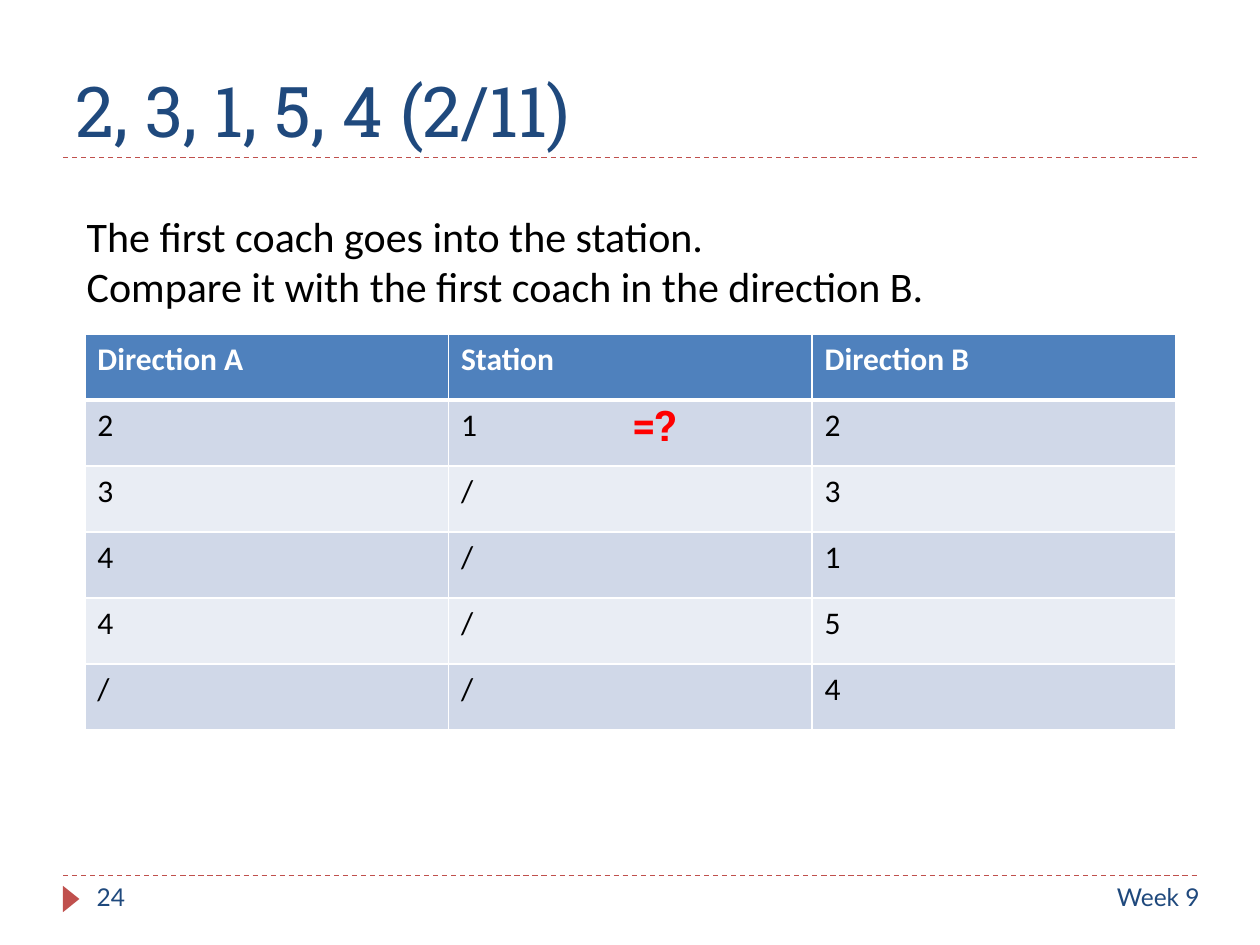
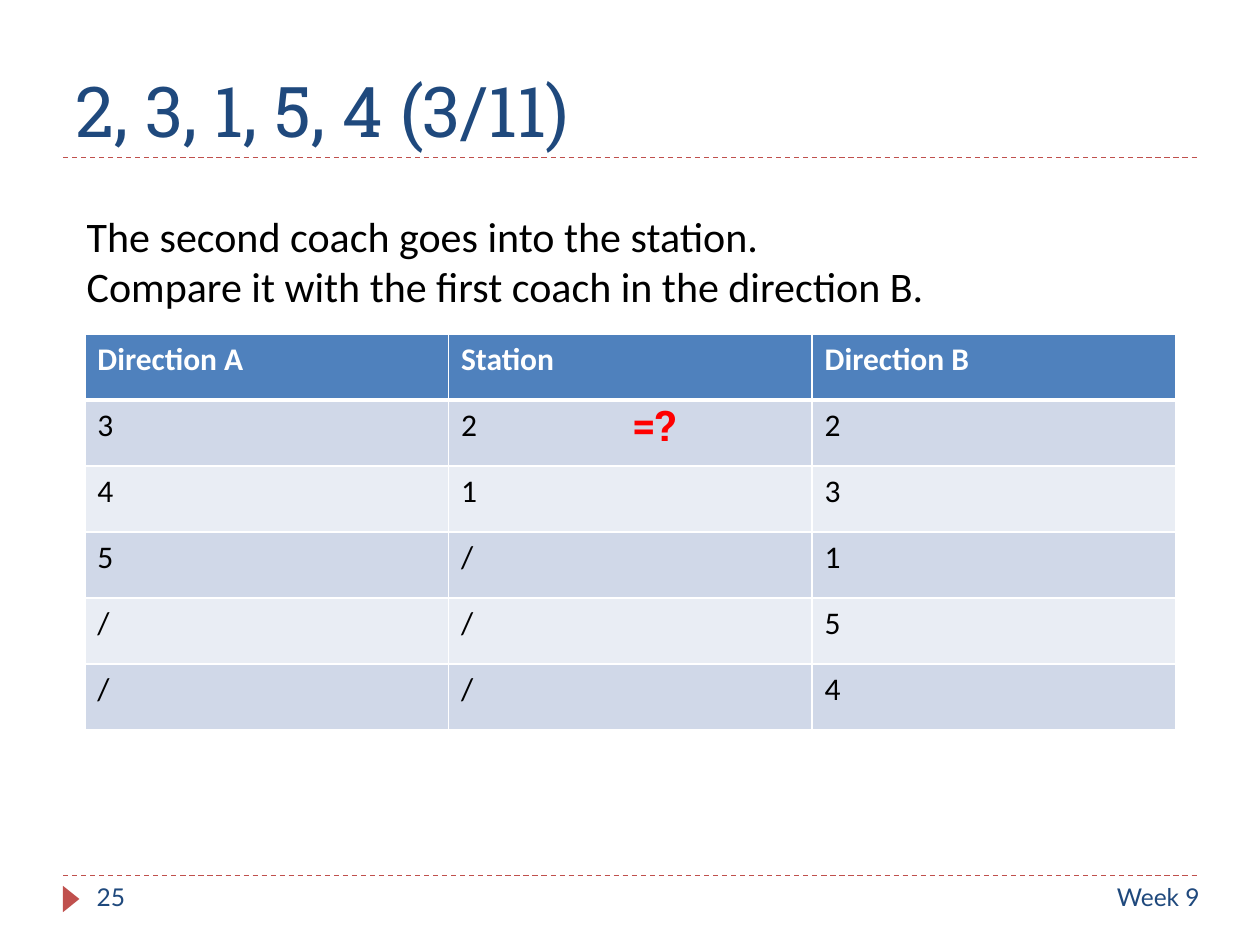
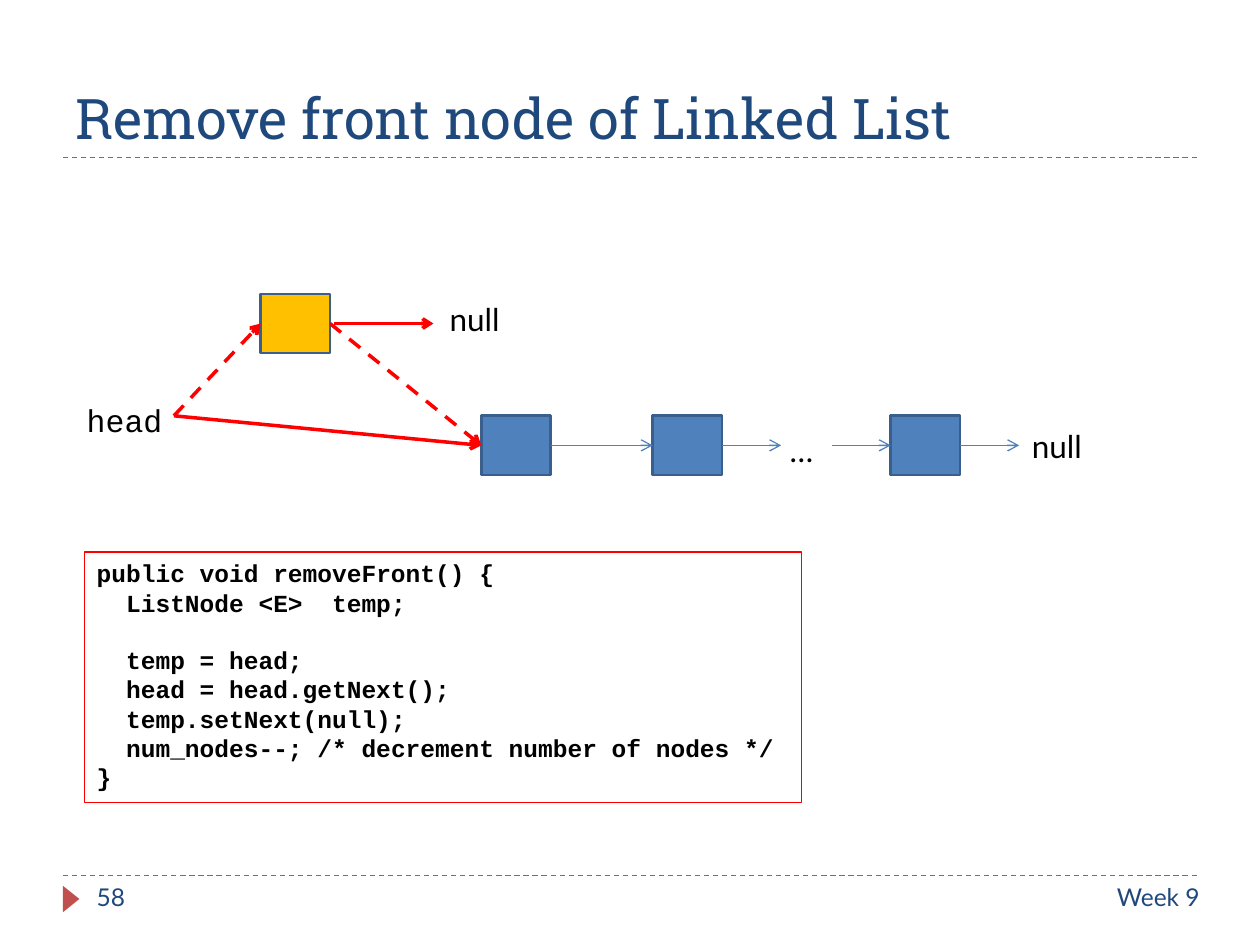
import pptx
import pptx.dml.color
import pptx.enum.dml
import pptx.enum.shapes
import pptx.enum.text
import pptx.oxml
import pptx.oxml.ns
import pptx.util

Pt = pptx.util.Pt
ALIGN = pptx.enum.text.PP_ALIGN
SHAPE = pptx.enum.shapes.MSO_SHAPE
DASH = pptx.enum.dml.MSO_LINE.DASH

NAVY, BLUE, EDGE = "1F497D", "4F81BD", "3A5F8C"
BRICK, RED, AMBER = "C0504D", "FF0000", "FFC000"
BLACK, WHITE = "000000", "FFFFFF"
BANDS = ("D0D8E8", "E9EDF4")
HEADING, BODY, LABEL, CODE = "Roboto Slab", "Calibri", "Lato", "Courier New"

LEFT, RIGHT = 36, 684
TITLE_RULE, FOOTER_RULE = 90, 500.4
NODE_WIDTH, NODE_HEIGHT = 39.6, 33.8
CODE_INDENT, CODE_LINE = 16.8, 15.86

HEADERS = ("Direction A", "Station", "Direction B")
CODE_LINES = (
    (0, "public void removeFront() {"),
    (1, "ListNode <E>  temp;"),
    (1, "temp = head;"),
    (1, "head = head.getNext();"),
    (1, "temp.setNext(null);"),
    (1, "num_nodes--; /* decrement number of nodes */"),
    (0, "}"),
)


def rgb(value):
    """Return a colour from its hex string."""
    return pptx.dml.color.RGBColor.from_string(value)


def set_font(paragraph, name, size, color, bold=False):
    """Format a whole paragraph."""
    font = paragraph.font
    font.name, font.size, font.bold = name, Pt(size), bold
    font.color.rgb = rgb(color)


def add_text(slide, box, lines, name, size, color=BLACK, bold=False,
             align=ALIGN.LEFT, wrap=True):
    """Add a text box with one paragraph per line."""
    shape = slide.shapes.add_textbox(*map(Pt, box))
    frame = shape.text_frame
    frame.word_wrap = wrap
    frame.text = "\n".join(lines)
    for paragraph in frame.paragraphs:
        paragraph.alignment = align
        set_font(paragraph, name, size, color, bold)
    return shape


def add_filled(slide, kind, box, fill, line=None):
    """Add a preset shape with a plain fill and an optional outline."""
    shape = slide.shapes.add_shape(kind, *map(Pt, box))
    shape.shadow.inherit = False
    shape.fill.solid()
    shape.fill.fore_color.rgb = rgb(fill)
    if line:
        shape.line.color.rgb = rgb(line)
        shape.line.width = Pt(1.5)
    else:
        shape.line.fill.background()
    return shape


def add_line(slide, start, end, color, width=0.75, dashed=False, arrow=False):
    """Add a straight line, with an arrowhead at its end if asked."""
    connector = slide.shapes.add_connector(
        pptx.enum.shapes.MSO_CONNECTOR.STRAIGHT, *map(Pt, start + end))
    connector.line.color.rgb = rgb(color)
    connector.line.width = Pt(width)
    if dashed:
        connector.line.dash_style = DASH
    if arrow:
        head = pptx.oxml.parse_xml(
            f'<a:tailEnd {pptx.oxml.ns.nsdecls("a")} type="arrow"/>')
        connector.line._get_or_add_ln().append(head)
    connector._element.spPr.append(pptx.oxml.parse_xml(
        f'<a:effectLst {pptx.oxml.ns.nsdecls("a")}/>'))


def add_base_slide(presentation, title, number, title_size=40):
    """Add a slide with the shared title, rules and footer."""
    slide = presentation.slides.add_slide(presentation.slide_layouts[5])
    for y in (FOOTER_RULE, TITLE_RULE):
        add_line(slide, (LEFT, y), (RIGHT, y), BRICK, dashed=True)
    marker = add_filled(slide, SHAPE.ISOSCELES_TRIANGLE,
                        (33.1, 509, 15.1, 9.4), BRICK)
    marker.rotation = 90

    shape = slide.shapes.title
    shape.left, shape.top = Pt(LEFT), Pt(12.2)
    shape.width, shape.height = Pt(RIGHT - LEFT), Pt(77.8)
    frame = shape.text_frame
    frame.text = title
    frame.auto_size = pptx.enum.text.MSO_AUTO_SIZE.NONE
    frame.vertical_anchor = pptx.enum.text.MSO_ANCHOR.BOTTOM
    frame.paragraphs[0].alignment = ALIGN.LEFT
    set_font(frame.paragraphs[0], HEADING, title_size, NAVY)

    add_text(slide, (48.2, FOOTER_RULE, 156, 28.8), [str(number)],
             LABEL, 14, NAVY)
    add_text(slide, (416.9, FOOTER_RULE, 275.8, 28.8), ["Week 9"],
             LABEL, 14, NAVY, align=ALIGN.RIGHT)
    return slide


def set_borders(cell, top, bottom):
    """Give a cell white borders; top and bottom widths are in points."""
    properties = cell._tc.get_or_add_tcPr()
    for side, width in (("L", 1), ("R", 1), ("T", top), ("B", bottom)):
        properties.append(pptx.oxml.parse_xml(
            f'<a:ln{side} {pptx.oxml.ns.nsdecls("a")} w="{Pt(width)}">'
            f'<a:solidFill><a:srgbClr val="{WHITE}"/></a:solidFill>'
            f'</a:ln{side}>'))


def add_coach_table(slide, rows):
    """Add the banded table of coaches in both directions and the station."""
    rows = (HEADERS,) + rows
    table = slide.shapes.add_table(
        len(rows), len(HEADERS), Pt(48.5), Pt(190.8),
        Pt(623.4), Pt(37.75 * len(rows))).table
    for r, values in enumerate(rows):
        table.rows[r].height = Pt(37.75)
        is_header = r == 0
        for c, value in enumerate(values):
            cell = table.cell(r, c)
            cell.text = value
            set_borders(cell, 3 if r == 1 else 1, 3 if is_header else 1)
            cell.fill.solid()
            cell.fill.fore_color.rgb = rgb(
                BLUE if is_header else BANDS[(r - 1) % 2])
            set_font(cell.text_frame.paragraphs[0], BODY, 18,
                     WHITE if is_header else BLACK, is_header)


def add_coach_slide(presentation, step, number, ordinal, rows):
    """Add one step of the coach ordering example."""
    slide = add_base_slide(presentation, f"2, 3, 1, 5, 4 ({step}/11)", number)
    add_coach_table(slide, rows)
    add_text(slide, (42.5, 116.6, 498, 65.4),
             [f"The {ordinal} coach goes into the station.",
              "Compare it with the first coach in the direction B."],
             BODY, 24, wrap=False)
    add_text(slide, (354.2, 224.6, 45.4, 36), ["=?"], HEADING, 24, RED,
             bold=True, wrap=False)


def add_node(slide, left, top, fill=BLUE):
    """Add a list node."""
    add_filled(slide, SHAPE.RECTANGLE,
               (left, top, NODE_WIDTH, NODE_HEIGHT), fill, EDGE)


def add_code(slide):
    """Add the framed method, indented by level."""
    shape = add_text(slide, (48.2, 315.4, 409.7, 143.3),
                     [text for level, text in CODE_LINES], CODE, 14, bold=True)
    shape.line.color.rgb = rgb(RED)
    shape.line.width = Pt(0.75)
    paragraphs = shape.text_frame.paragraphs
    for paragraph, (level, text) in zip(paragraphs, CODE_LINES):
        paragraph._p.get_or_add_pPr().set("marL", str(Pt(CODE_INDENT * level)))
    paragraphs[2].space_before = Pt(CODE_LINE)


def add_list_slide(presentation):
    """Add the linked list diagram with its code."""
    slide = add_base_slide(presentation, "Remove front node of Linked List",
                           58, title_size=32)
    first, second, last = 275, 373, 509
    row_top, removed_left, removed_top = 237.6, 149, 168
    middle = row_top + NODE_HEIGHT / 2
    removed_middle = removed_top + NODE_HEIGHT / 2
    removed_right = removed_left + NODE_WIDTH
    short = 33.8

    for left in (first, second, last):
        add_node(slide, left, row_top)
    add_node(slide, removed_left, removed_top, AMBER)

    for start, end in ((first + NODE_WIDTH, second),
                       (second + NODE_WIDTH, second + NODE_WIDTH + short),
                       (last - short, last),
                       (last + NODE_WIDTH, last + NODE_WIDTH + short)):
        add_line(slide, (start, middle), (end, middle), BLUE, arrow=True)

    head, target = (99.4, row_top), (first, middle)
    for start, end, dashed in (
            (head, target, False),
            (head, (removed_left, removed_middle), True),
            ((removed_right, removed_middle), target, True),
            ((190.8, removed_middle), (247.7, removed_middle), False)):
        add_line(slide, start, end, RED, 2, dashed, arrow=True)

    add_text(slide, (42.5, 225.4, 90.7, 28.8), ["head"], CODE, 18)
    add_text(slide, (406.8, 242.6, 102.2, 28.8), ["…"], LABEL, 18,
             align=ALIGN.CENTER)
    for left, top in ((582.5, 240.5), (249.8, 167.8)):
        add_text(slide, (left, top, 49.7, 28.8), ["null"], LABEL, 18)
    add_code(slide)


def main():
    """Build and save the presentation."""
    presentation = pptx.Presentation()
    presentation.slide_width, presentation.slide_height = Pt(720), Pt(540)
    add_coach_slide(presentation, 2, 24, "first", (
        ("2", "1", "2"), ("3", "/", "3"), ("4", "/", "1"),
        ("4", "/", "5"), ("/", "/", "4")))
    add_coach_slide(presentation, 3, 25, "second", (
        ("3", "2", "2"), ("4", "1", "3"), ("5", "/", "1"),
        ("/", "/", "5"), ("/", "/", "4")))
    add_list_slide(presentation)
    presentation.save("out.pptx")


main()
